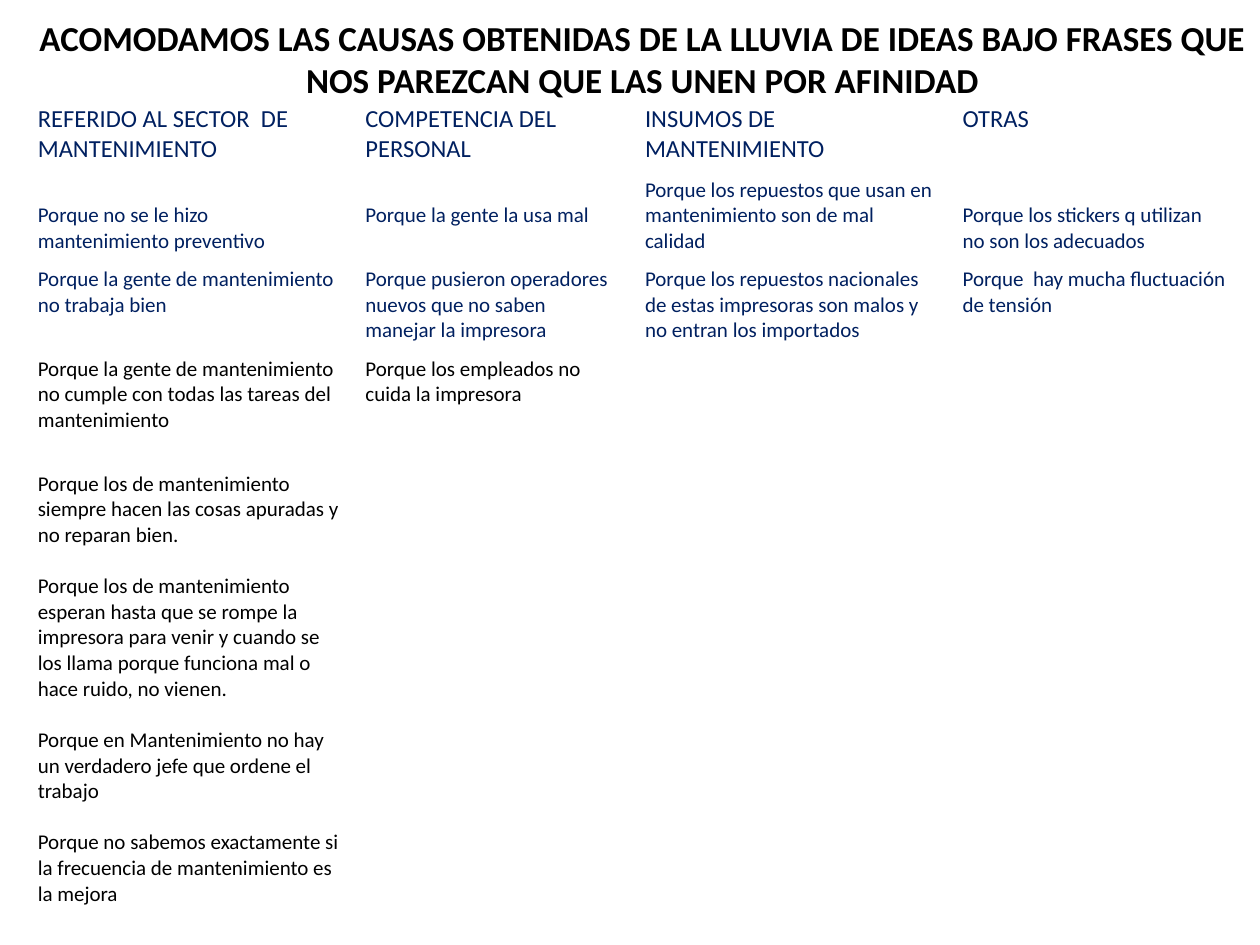
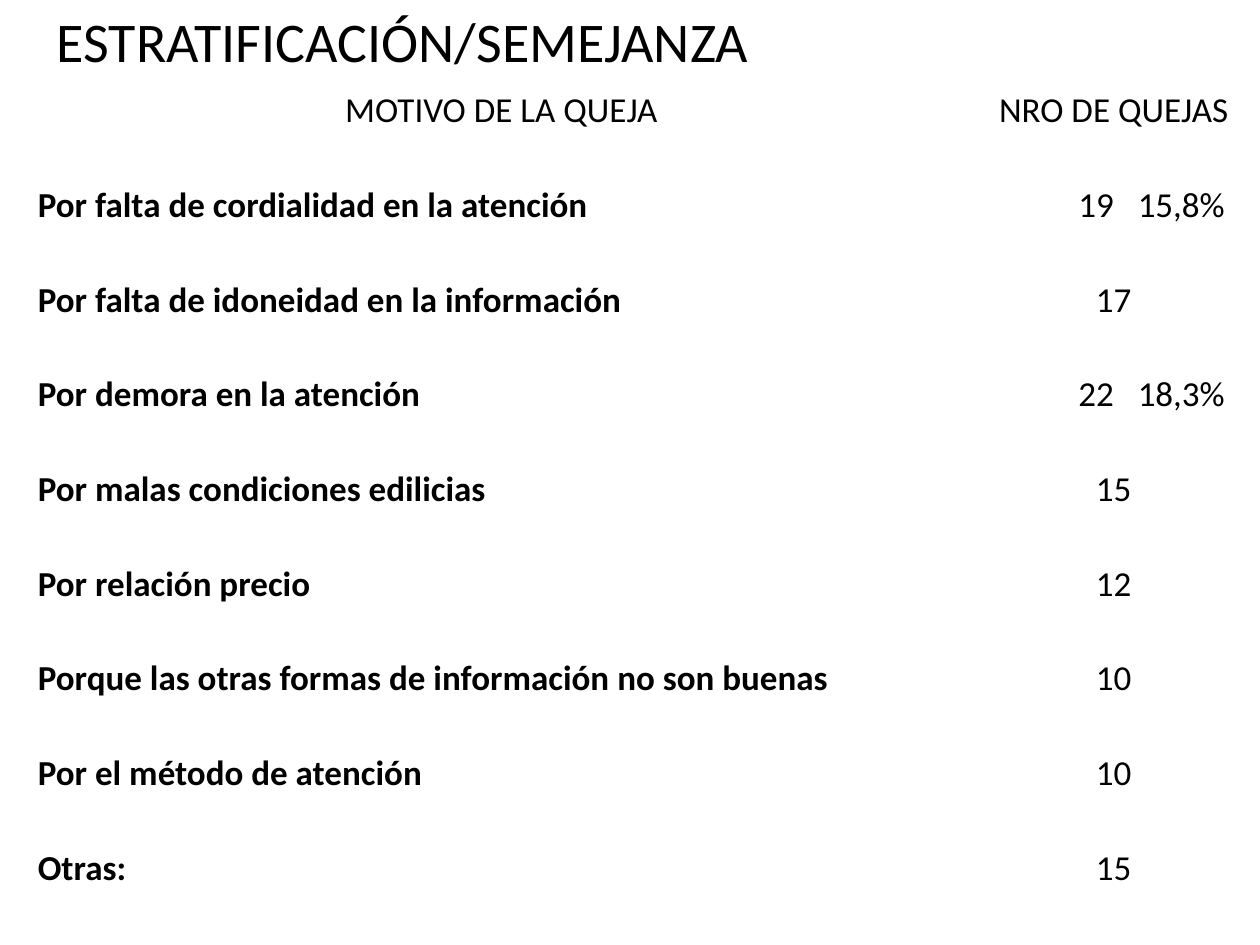
from pptx import Presentation
from pptx.dml.color import RGBColor
from pptx.enum.text import MSO_ANCHOR, MSO_AUTO_SIZE, PP_ALIGN
from pptx.oxml import parse_xml
from pptx.oxml.ns import nsdecls
from pptx.util import Pt

LEFT, CENTER = PP_ALIGN.LEFT, PP_ALIGN.CENTER
TOP, MIDDLE = MSO_ANCHOR.TOP, MSO_ANCHOR.MIDDLE
NO_AUTOFIT = MSO_AUTO_SIZE.NONE

COLORS = {"white": "FFFFFF", "black": "000000", "navy": "002060"}
FONT = "Calibri"
TITLE_ONLY_LAYOUT = 5
CAUSE_LINE = 14.65
CELL_MARGIN = 3.6
SHARE_INDENT, SHARE_TAB = 57.5, 34

CAUSE_COLUMNS = [187.2, 159.8, 181.5, 165.6]
CAUSE_ROWS = [41.4, 51.2, 51.2, 65.8, 256.2]
CAUSES = [
    ["REFERIDO AL SECTOR  DE MANTENIMIENTO", "COMPETENCIA DEL PERSONAL",
     "INSUMOS DE MANTENIMIENTO", "OTRAS"],
    ["Porque no se le hizo mantenimiento preventivo",
     "Porque la gente la usa mal",
     "Porque los repuestos que usan en mantenimiento son de mal calidad",
     "Porque los stickers q utilizan no son los adecuados"],
    ["Porque la gente de mantenimiento no trabaja bien",
     "Porque pusieron operadores nuevos que no saben manejar la impresora",
     "Porque los repuestos nacionales de estas impresoras son malos y no entran los importados",
     "Porque  hay mucha fluctuación de tensión"],
    ["Porque la gente de mantenimiento no cumple con todas las tareas del mantenimiento",
     "Porque los empleados no cuida la impresora", "", ""],
    [["Porque los de mantenimiento siempre hacen las cosas apuradas y no reparan bien.",
      "Porque los de mantenimiento esperan hasta que se rompe la impresora para venir "
      "y cuando se los llama porque funciona mal o hace ruido, no vienen.",
      "Porque en Mantenimiento no hay un verdadero jefe que ordene el trabajo",
      "Porque no sabemos exactamente si la frecuencia de mantenimiento es la mejora"],
     "", "", ""],
]
LOWERED_CAUSES = {(1, 0), (1, 1), (1, 3)}

COMPLAINT_COLUMNS = [544.3, 155.5]
COMPLAINT_ROW = 54.1
COMPLAINTS = [
    ("MOTIVO DE LA QUEJA", "NRO DE QUEJAS"),
    ("Por falta de cordialidad en la atención", "19\t15,8%"),
    ("Por falta de idoneidad en la información", "17"),
    ("Por demora en la atención", "22\t18,3%"),
    ("Por malas condiciones edilicias", "15"),
    ("Por relación precio", "12"),
    ("Porque las otras formas de información no son buenas", "10"),
    ("Por el método de atención", "10"),
    ("Otras:", "15"),
]


def write_paragraph(paragraph, text, size, color="black", bold=False, align=LEFT):
    """Write one formatted run into a paragraph."""
    paragraph.alignment = align
    run = paragraph.add_run()
    run.text = text
    run.font.name = FONT
    run.font.size = Pt(size)
    run.font.bold = bold
    run.font.color.rgb = RGBColor.from_string(COLORS[color])


def add_titled_slide(presentation, text, box, size, bold, align, anchor):
    """Add a title-only slide with its title placed in the given box."""
    slide = presentation.slides.add_slide(presentation.slide_layouts[TITLE_ONLY_LAYOUT])
    title = slide.shapes.title
    title.left, title.top, title.width, title.height = map(Pt, box)
    frame = title.text_frame
    frame.word_wrap = True
    frame.auto_size = NO_AUTOFIT
    frame.vertical_anchor = anchor
    write_paragraph(frame.paragraphs[0], text, size, bold=bold, align=align)
    return slide


def add_plain_table(slide, left, top, widths, heights):
    """Add a white table with the given column widths and row heights."""
    table = slide.shapes.add_table(
        len(heights), len(widths), Pt(left), Pt(top),
        Pt(sum(widths)), Pt(sum(heights))).table
    table.horz_banding = False
    for column, width in zip(table.columns, widths):
        column.width = Pt(width)
    for row, height in zip(table.rows, heights):
        row.height = Pt(height)
    for cell in table.iter_cells():
        cell.fill.solid()
        cell.fill.fore_color.rgb = RGBColor.from_string(COLORS["white"])
    return table


def fill_cause_cell(cell, content, size, color):
    """Write one cause, or a list of causes a line apart, into a cell."""
    causes = content if isinstance(content, list) else [content]
    frame = cell.text_frame
    for index, cause in enumerate(causes):
        paragraph = frame.add_paragraph() if index else frame.paragraphs[0]
        if index:
            paragraph.space_before = Pt(CAUSE_LINE)
        write_paragraph(paragraph, cause, size, color)


def add_cause_table(slide, left, top):
    """Add the table of causes grouped by affinity."""
    table = add_plain_table(slide, left, top, CAUSE_COLUMNS, CAUSE_ROWS)
    for row, causes in enumerate(CAUSES):
        for column, content in enumerate(causes):
            cell = table.cell(row, column)
            if (row, column) in LOWERED_CAUSES:
                cell.margin_top = Pt(CELL_MARGIN + CAUSE_LINE)
            if content:
                fill_cause_cell(cell, content, 12 if row else 14,
                                "navy" if row < 3 else "black")


def align_share(cell):
    """Set a count and its percentage on a tab stop."""
    cell.margin_left = Pt(SHARE_INDENT)
    cell.margin_right = 0
    properties = cell.text_frame.paragraphs[0]._p.get_or_add_pPr()
    properties.append(parse_xml(
        f'<a:tabLst {nsdecls("a")}><a:tab pos="{Pt(SHARE_TAB)}" algn="l"/></a:tabLst>'))


def add_complaint_table(slide, left, top):
    """Add the table of complaint reasons and counts."""
    table = add_plain_table(slide, left, top, COMPLAINT_COLUMNS,
                            [COMPLAINT_ROW] * len(COMPLAINTS))
    for row, (reason, count) in enumerate(COMPLAINTS):
        reason_cell, count_cell = table.cell(row, 0), table.cell(row, 1)
        write_paragraph(reason_cell.text_frame.paragraphs[0], reason, 20,
                        bold=row > 0, align=LEFT if row else CENTER)
        has_share = "\t" in count
        if has_share:
            align_share(count_cell)
        write_paragraph(count_cell.text_frame.paragraphs[0], count, 20,
                        align=LEFT if has_share else CENTER)


def main():
    """Build both slides and save the presentation."""
    presentation = Presentation()
    presentation.slide_width, presentation.slide_height = Pt(720), Pt(540)
    slide = add_titled_slide(
        presentation,
        "ACOMODAMOS LAS CAUSAS OBTENIDAS DE LA LLUVIA DE IDEAS BAJO FRASES QUE "
        "NOS PAREZCAN QUE LAS UNEN POR AFINIDAD",
        (14.4, -11.5, 705.6, 90), 20, True, CENTER, MIDDLE)
    add_cause_table(slide, 14.4, 56.2)
    slide = add_titled_slide(presentation, "ESTRATIFICACIÓN/SEMEJANZA",
                             (25.2, 0, 646.6, 47), 32, False, LEFT, TOP)
    add_complaint_table(slide, 14.4, 47.5)
    presentation.save("out.pptx")


if __name__ == "__main__":
    main()
